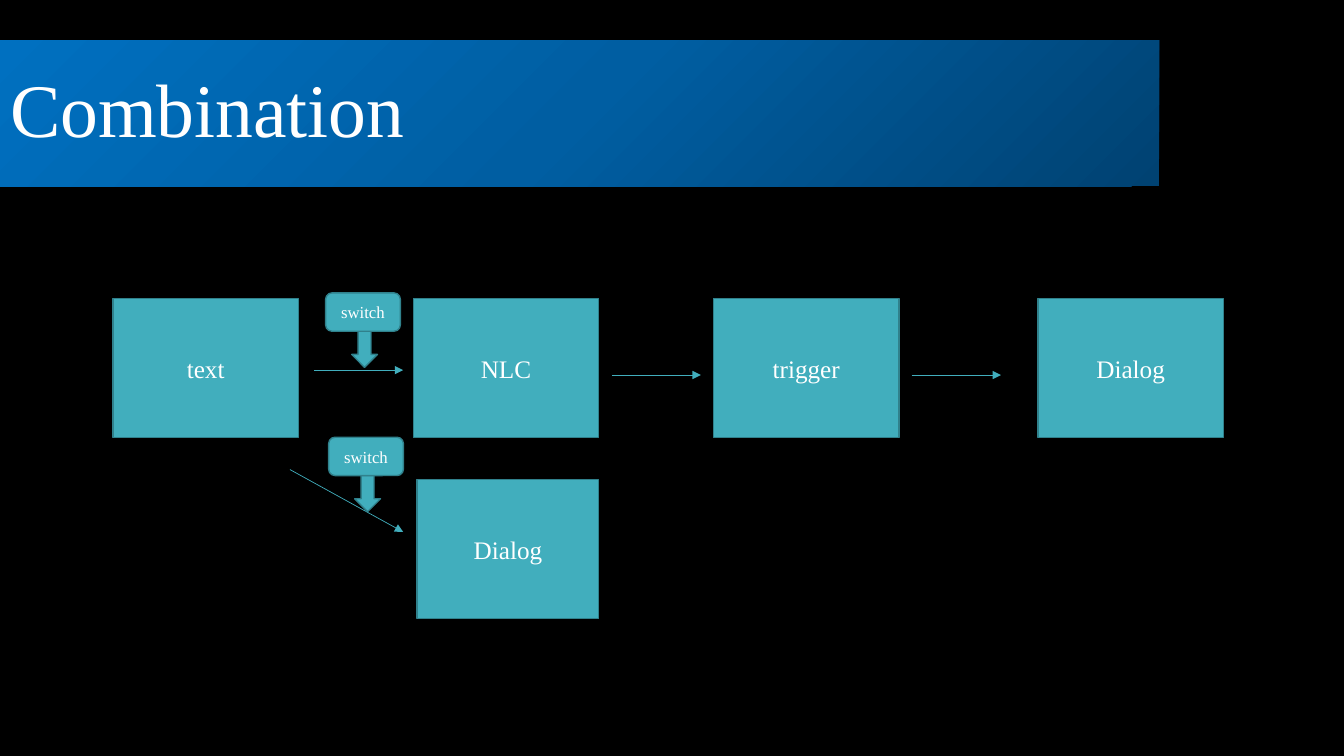
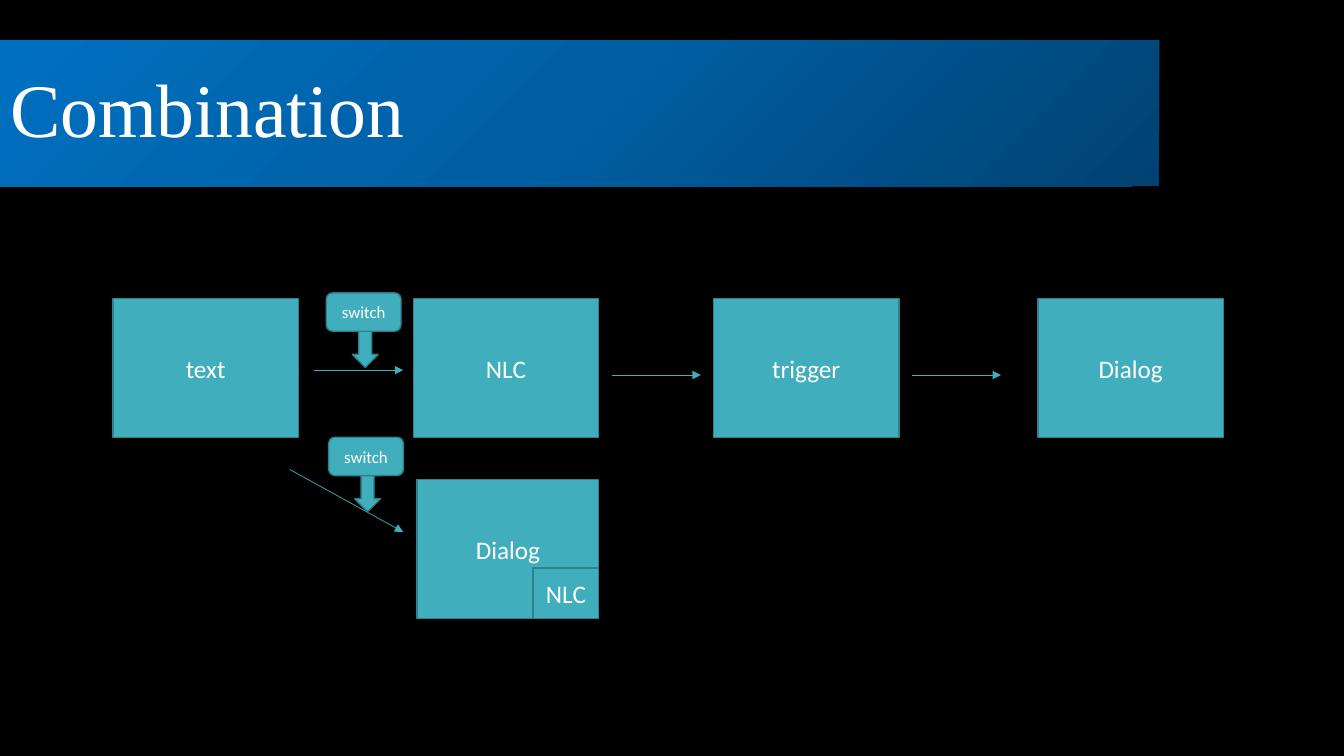
import copy

import lxml.etree
import pptx
import pptx.dml.color
import pptx.enum.shapes
import pptx.enum.text
import pptx.oxml.ns
import pptx.util

Pt = pptx.util.Pt
qn = pptx.oxml.ns.qn
SHAPE = pptx.enum.shapes.MSO_SHAPE
ALIGN = pptx.enum.text.PP_ALIGN
MIDDLE = pptx.enum.text.MSO_ANCHOR.MIDDLE

BLACK, WHITE = "000000", "FFFFFF"
TEAL, TEAL_EDGE = "41AEBD", "30818C"
BAND_STOPS = [(0, "004272"), (0.5, "005EA2"), (1, "0070C0")]
SERIF, SANS = "Times New Roman", "Calibri"

STEP_TOP, STEP_WIDTH, STEP_HEIGHT = 213.1, 132.5, 99.4
STEPS = [("text", 80.7), ("NLC", 295.2), ("trigger", 509.7), ("Dialog", 741.4)]
FLOWS = [
    (224.6, 264.4, 288, 264.4),
    (437, 267.9, 500.6, 267.9),
    (651.2, 267.9, 715, 267.9),
    (207.1, 335.4, 288, 380),
]
SWITCH_WIDTH, SWITCH_HEIGHT = 53.4, 27.4
POINTER_WIDTH, POINTER_HEIGHT, POINTER_INDENT = 18.4, 25.8, 18.6


def rgb(code):
    return pptx.dml.color.RGBColor.from_string(code)


def add_part(slide, kind, box, label="", size=18, font=SERIF):
    part = slide.shapes.add_shape(kind, *[Pt(length) for length in box])
    part.shadow.inherit = False
    part.fill.solid()
    part.fill.fore_color.rgb = rgb(TEAL)
    part.line.color.rgb = rgb(TEAL_EDGE)
    part.line.width = Pt(1)
    if label:
        part.text_frame.vertical_anchor = MIDDLE
        paragraph = part.text_frame.paragraphs[0]
        paragraph.alignment = ALIGN.CENTER
        run = paragraph.add_run()
        run.text = label
        run.font.name = font
        run.font.size = Pt(size)
        run.font.color.rgb = rgb(WHITE)


prs = pptx.Presentation()
prs.slide_width, prs.slide_height = Pt(960), Pt(540)
backdrop = prs.slide_master.background.fill
backdrop.solid()
backdrop.fore_color.rgb = rgb(BLACK)

for font, upper_switch_left, dialog_has_nlc in [(SERIF, 232.6, False), (SANS, 233.1, True)]:
    slide = prs.slides.add_slide(prs.slide_layouts[5])

    title = slide.shapes.title
    title.left, title.top, title.width, title.height = Pt(0), Pt(28.7), Pt(828), Pt(104.4)
    title.fill.gradient()
    title.fill.gradient_angle = 135
    stop_list = title._element.spPr.find(".//" + qn("a:gsLst"))
    stop_list.append(copy.deepcopy(stop_list[-1]))
    for stop, (position, code) in zip(title.fill.gradient_stops, BAND_STOPS):
        stop.position = position
        stop.color.rgb = rgb(code)
    title.text_frame.vertical_anchor = MIDDLE
    title.text_frame.auto_size = pptx.enum.text.MSO_AUTO_SIZE.NONE
    heading = title.text_frame.paragraphs[0]
    heading.alignment = ALIGN.LEFT
    heading.line_spacing = 0.9
    run = heading.add_run()
    run.text = "Combination"
    run.font.name = SERIF
    run.font.size = Pt(54)
    run.font.color.rgb = rgb(WHITE)

    for label, left in STEPS:
        add_part(slide, SHAPE.RECTANGLE, (left, STEP_TOP, STEP_WIDTH, STEP_HEIGHT), label, font=font)
    add_part(slide, SHAPE.RECTANGLE, (298, 342.5, 129.7, STEP_HEIGHT), "Dialog", font=font)
    if dialog_has_nlc:
        add_part(slide, SHAPE.RECTANGLE, (380.8, 405.6, 46.9, 36.2), "NLC", font=font)

    for ends in FLOWS:
        flow = slide.shapes.add_connector(
            pptx.enum.shapes.MSO_CONNECTOR.STRAIGHT, *[Pt(length) for length in ends])
        flow.line.color.rgb = rgb(TEAL)
        flow.line.width = Pt(0.5)
        outline = flow.line._get_or_add_ln()
        lxml.etree.SubElement(outline, qn("a:tailEnd"), type="triangle")
        lxml.etree.SubElement(flow._element.spPr, qn("a:effectLst"))

    for left, top in [(234.8, 312.3), (upper_switch_left, 209.2)]:
        add_part(slide, SHAPE.DOWN_ARROW,
                 (left + POINTER_INDENT, top + SWITCH_HEIGHT, POINTER_WIDTH, POINTER_HEIGHT))
        add_part(slide, SHAPE.ROUNDED_RECTANGLE,
                 (left, top, SWITCH_WIDTH, SWITCH_HEIGHT), "switch", 12, font)

prs.save("out.pptx")
